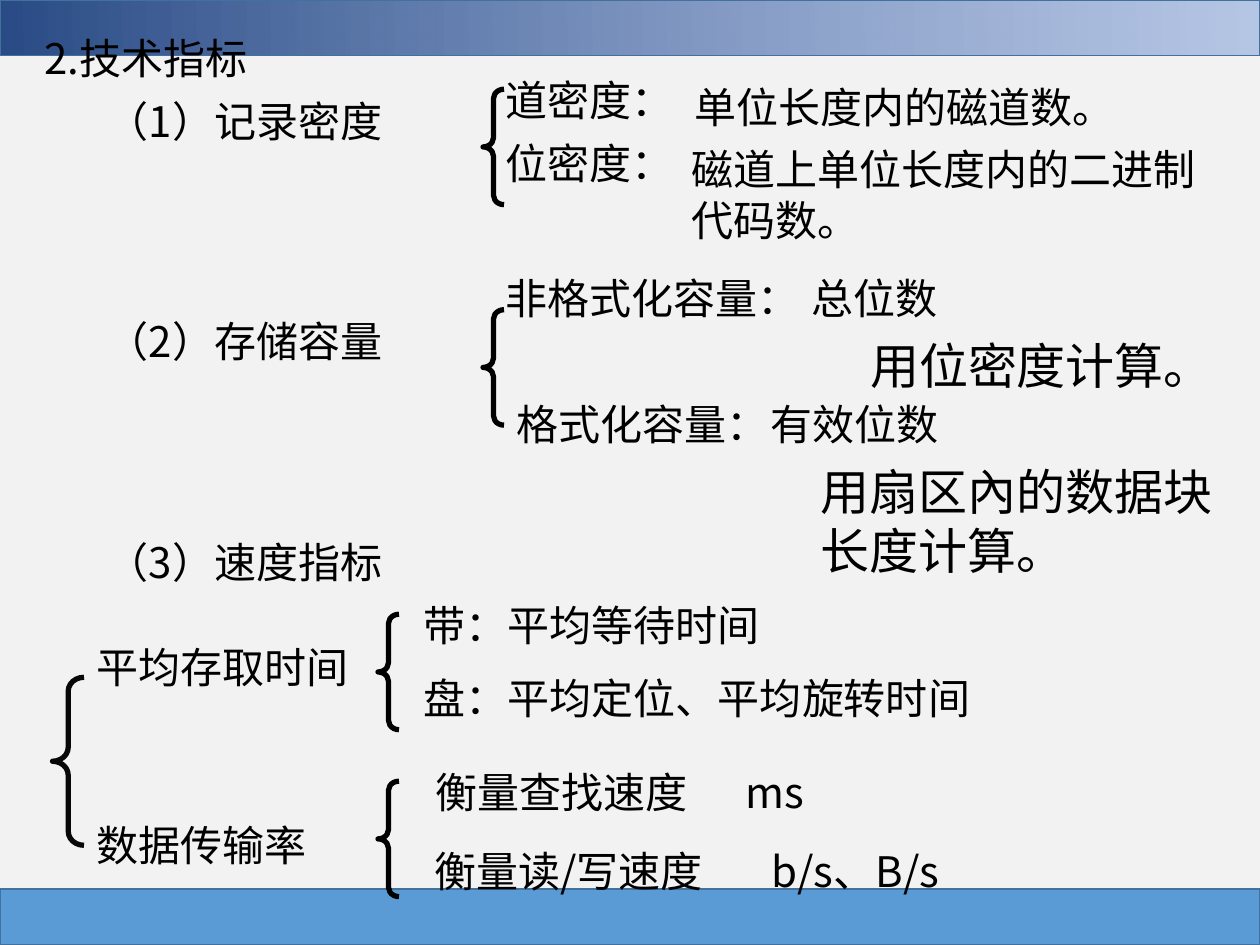
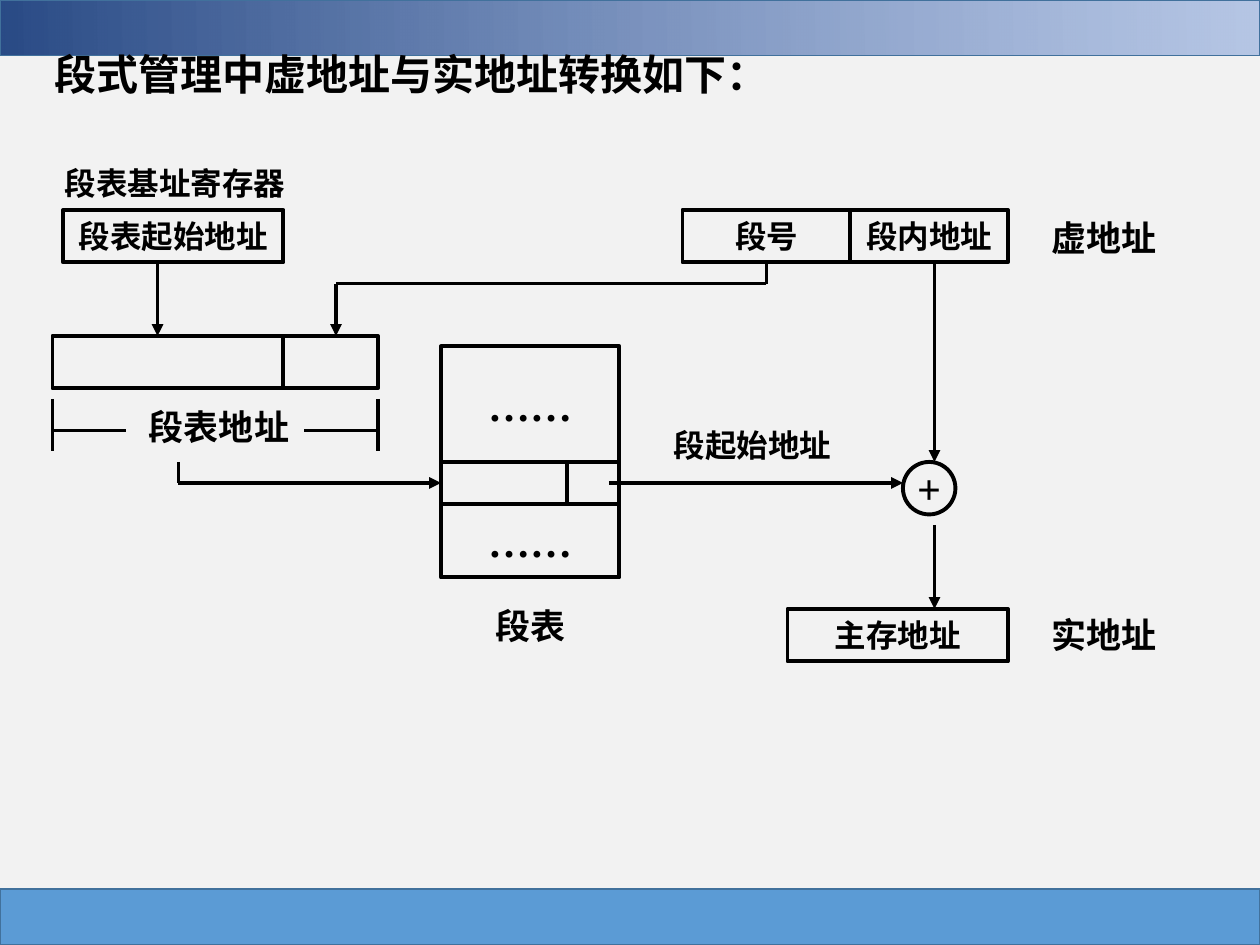
from dataclasses import dataclass
from itertools import pairwise

from lxml.etree import SubElement
from pptx import Presentation
from pptx.dml.color import RGBColor
from pptx.enum.shapes import MSO_CONNECTOR, MSO_SHAPE
from pptx.enum.text import MSO_ANCHOR, PP_ALIGN
from pptx.oxml.ns import qn
from pptx.util import Inches, Pt

COLS, ROWS = 120, 90


@dataclass(frozen=True)
class Theme:
    paper: str = "F2F2F2"
    ink: str = "000000"
    soft: str = "080808"
    band: str = "5B9BD5"
    edge: str = "41719C"
    dark: str = "2A4B86"
    pale: str = "8FAADC"
    fade: int = 61000
    sans: str = "Noto Sans CJK SC"
    serif: str = "Times New Roman"
    big: int = 28
    head: int = 24
    label: int = 20
    small: int = 18
    thin: float = 1
    rule: float = 2.25
    brace: float = 3


class Deck:
    def __init__(self, theme):
        self.theme = theme
        self.prs = Presentation()
        self.prs.slide_width, self.prs.slide_height = Inches(10), Inches(7.5)
        self.layout = self.prs.slide_layouts.get_by_name("Title Only")
        back = self.prs.slide_master.background.fill
        back.solid()
        back.fore_color.rgb = RGBColor.from_string(theme.paper)
        self.slide = None
        self.banded = False

    def place(self, col, row, wide=0, high=0):
        """Turn grid columns and rows into lengths."""
        x, y = self.prs.slide_width / COLS, self.prs.slide_height / ROWS
        return round(col * x), round(row * y), round(wide * x), round(high * y)

    def start(self, title, spot, face, bold):
        """Open a slide and set the face that its text uses."""
        self.slide = self.prs.slides.add_slide(self.layout)
        self.face, self.bold = face, bold
        if not self.banded:
            self.bands()
        head = self.slide.shapes.title
        head.left, head.top, head.width, head.height = self.place(*spot)
        self.letter(head, title, self.theme.head)

    def bands(self):
        """Draw both bands once and hand them to the shared layout."""
        theme, high = self.theme, 5.3
        foot = self.shape(MSO_SHAPE.RECTANGLE, (0, ROWS - high, COLS, high),
                          theme.edge, theme.thin)
        foot.fill.solid()
        foot.fill.fore_color.rgb = RGBColor.from_string(theme.band)
        top = self.shape(MSO_SHAPE.RECTANGLE, (0, 0, COLS, high),
                         theme.edge, theme.thin)
        top.fill.gradient()
        top.fill.gradient_angle = 1
        for stop, tint in zip(top.fill.gradient_stops, (theme.dark, theme.pale)):
            stop.color.rgb = RGBColor.from_string(tint)
        tints = list(top.element.iter(qn("a:srgbClr")))
        pale = next(t for t in tints if t.get("val") == theme.pale)
        SubElement(pale, qn("a:alpha"), val=str(theme.fade))
        for spot, band in enumerate((foot, top), 2):
            self.layout.shapes.element.insert(spot, band.element)
        self.banded = True

    def shape(self, kind, spot, tint, weight):
        item = self.slide.shapes.add_shape(kind, *self.place(*spot))
        item.shadow.inherit = False
        item.fill.background()
        item.line.color.rgb = RGBColor.from_string(tint)
        item.line.width = Pt(weight)
        return item

    def letter(self, item, text, size, align=PP_ALIGN.LEFT,
               anchor=MSO_ANCHOR.TOP, wrap=True, tab=None):
        """Set the text of a shape and its style."""
        frame = item.text_frame
        frame.word_wrap, frame.vertical_anchor = wrap, anchor
        frame.margin_left = frame.margin_right = Inches(0.1)
        frame.margin_top = frame.margin_bottom = Inches(0.05)
        para = frame.paragraphs[0]
        para.text, para.alignment = text, align
        para.space_before = Pt(0)
        props = para._p.get_or_add_pPr()
        if tab:
            stops = SubElement(props, qn("a:tabLst"))
            SubElement(stops, qn("a:tab"), pos=str(self.place(tab, 0)[0]), algn="l")
        font = para.font
        font.name, font.size, font.bold = self.face, Pt(size), self.bold
        font.color.rgb = RGBColor.from_string(self.theme.ink)
        SubElement(props.find(qn("a:defRPr")), qn("a:ea"), typeface=self.theme.sans)

    def text(self, words, col, row, wide, high=6, size=None, tab=None):
        item = self.slide.shapes.add_textbox(*self.place(col, row, wide, high))
        self.letter(item, words, size or self.theme.head, tab=tab)

    def box(self, words, *spot, size=None, kind=MSO_SHAPE.RECTANGLE):
        item = self.shape(kind, spot, self.theme.ink, self.theme.rule)
        if words:
            self.letter(item, words, size or self.theme.small, PP_ALIGN.CENTER,
                        MSO_ANCHOR.MIDDLE, wrap=False)

    def brace(self, col, row, wide=2, high=11, tint=None):
        item = self.shape(MSO_SHAPE.LEFT_BRACE, (col, row, wide, high),
                          tint or self.theme.ink, self.theme.brace)
        item.adjustments[0] = 0.44

    def trail(self, *points, arrow=True):
        """Join points with straight lines, with an arrowhead at the last."""
        for start, end in pairwise(points):
            line = self.slide.shapes.add_connector(
                MSO_CONNECTOR.STRAIGHT, *self.place(*start)[:2], *self.place(*end)[:2])
            line.line.color.rgb = RGBColor.from_string(self.theme.ink)
            line.line.width = Pt(self.theme.rule)
            props = line.element.spPr
            if arrow and end == points[-1]:
                SubElement(props.find(qn("a:ln")), qn("a:tailEnd"), type="triangle")
            SubElement(props, qn("a:effectLst"))


def metrics(deck):
    theme = deck.theme
    deck.start("2.技术指标", (3, 2.5, 52, 6), theme.sans, False)

    for rank, name in enumerate(("（1）记录密度", "（2）存储容量", "（3）速度指标")):
        deck.text(name, 9, 8.5 + 21 * rank, 37)
    for row in (8.5, 29.5):
        deck.brace(46, row)
    for row in (58.5, 74.4):
        deck.brace(36, row)
    deck.brace(5, 64.5, 3, 16, theme.soft)

    for words, *spot in (
        ("道密度：", 47, 6.5, 28),
        ("位密度：", 47, 12.5, 28),
        ("单位长度内的磁道数。", 65, 7.2, 54),
        ("磁道上单位长度内的二进制代码数。", 64.7, 13.1, 54, 10.8),
        ("非格式化容量：", 47, 25.4, 56),
        ("总位数", 76.1, 25.4, 37),
        ("格式化容量：", 48, 37.4, 51),
        ("有效位数", 72.2, 37.4, 37),
        ("平均存取时间", 8, 60.5, 37),
        ("数据传输率", 8, 77.5, 37),
        ("带：平均等待时间", 39.2, 56.5, 57),
        ("盘：平均定位、平均旋转时间", 39.2, 63.5, 75),
    ):
        deck.text(words, *spot)
    deck.text("用位密度计算。", 81.7, 31.4, 37, 6.8, theme.big)
    deck.text("用扇区內的数据块长度计算。", 77, 43.4, 41, 12.5, theme.big)
    deck.text("衡量查找速度\tms", 40.3, 72.4, 71, tab=29.5)
    deck.text("衡量读/写速度\tb/s、B/s", 40.2, 79.9, 78, tab=32.1)


def mapping(deck):
    theme = deck.theme
    deck.start("段式管理中虚地址与实地址转换如下：", (4, 4, 100, 6), theme.serif, True)

    for words, *spot in (
        ("段表起始地址", 6, 20, 21, 5),
        ("", 5, 32, 22, 5),
        ("", 27, 32, 9, 5),
        ("段号", 65, 20, 16, 5),
        ("段内地址", 81, 20, 15, 5),
        ("主存地址", 75, 58, 21, 5),
        ("", 42, 44, 12, 4),
        ("", 54, 44, 5, 4),
    ):
        deck.box(words, *spot)
    for row, high in ((33, 11), (48, 7)):
        deck.box("……", 42, row, 17, high, size=theme.head)

    deck.trail((15, 25), (15, 32))
    deck.trail((73, 25), (73, 27), (32, 27), (32, 32))
    deck.trail((17, 44), (17, 46), (42, 46))
    deck.trail((58, 46), (86, 46))
    deck.trail((89, 25), (89, 44))
    deck.trail((89, 50), (89, 58))
    for edge, inner in ((5, 12), (36, 29)):
        deck.trail((edge, 38), (edge, 43), arrow=False)
        deck.trail((edge, 41), (inner, 41), arrow=False)
    deck.box("+", 86, 44, 5, 5, size=theme.head, kind=MSO_SHAPE.OVAL)

    for words, *spot in (
        ("虚地址", 99, 20, 15),
        ("实地址", 99, 57.8, 15),
        ("段表地址", 13, 38, 19),
        ("段表", 46, 57, 16),
    ):
        deck.text(words, *spot, 5.3, theme.label)
    deck.text("段起始地址", 63, 40, 19, 4.8, theme.small)
    deck.text("段表基址寄存器", 5, 15, 25, 4.8, theme.small)


def main():
    deck = Deck(Theme())
    metrics(deck)
    mapping(deck)
    deck.prs.save("out.pptx")


if __name__ == "__main__":
    main()
